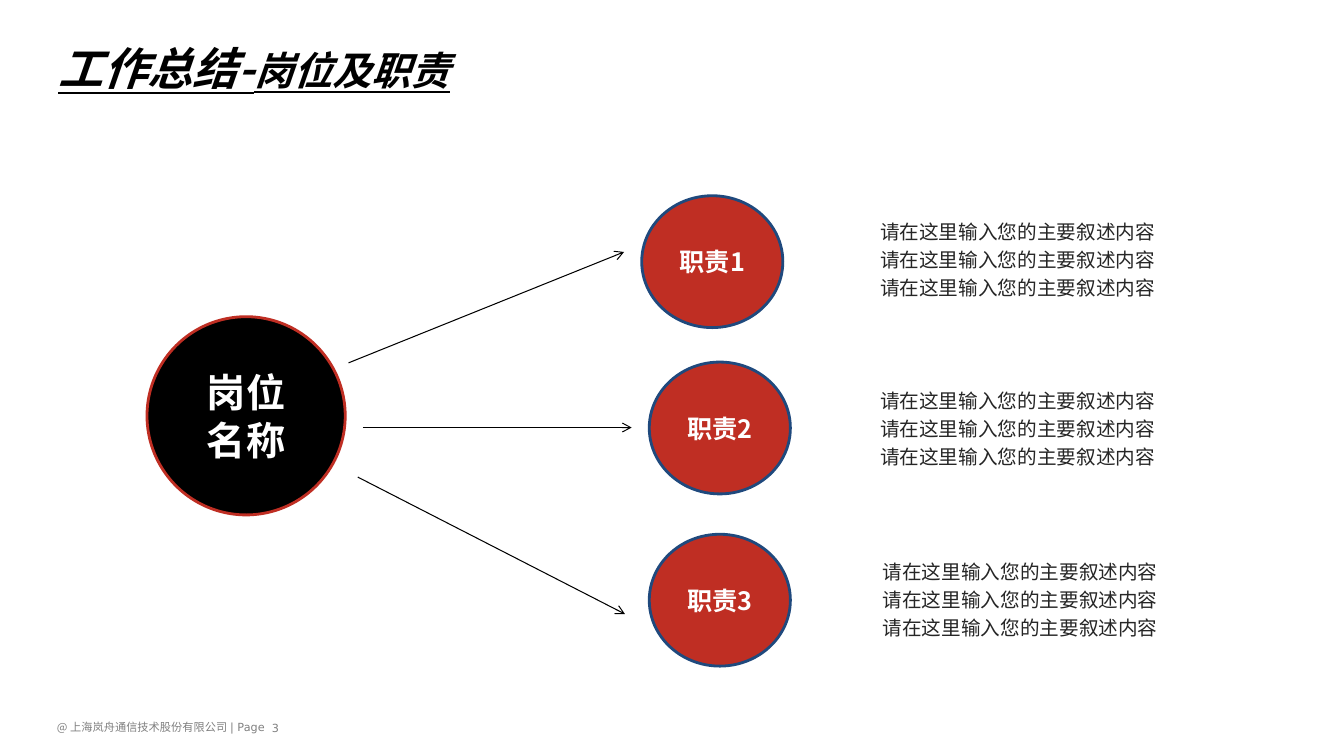
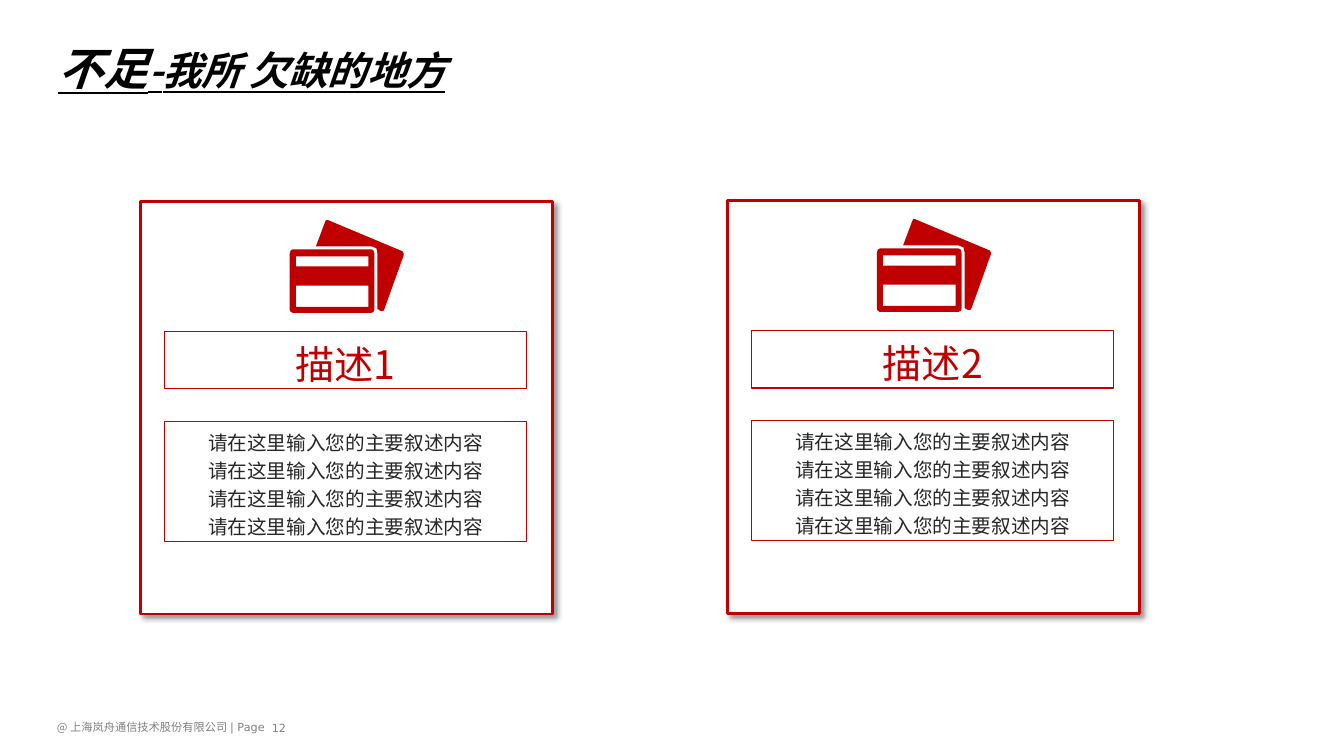
from lxml import etree
from pptx import Presentation
from pptx import util as u
from pptx.dml.color import RGBColor
from pptx.enum import shapes, text
from pptx.oxml import parse_xml
from pptx.oxml.ns import nsdecls, qn


class Theme:
    cjk, latin = "Noto Sans CJK SC", "DejaVu Sans"
    black, white, grey, ink = "000000", "FFFFFF", "808080", "262626"
    red, navy, crimson = "BF2E23", "1F497D", "C00000"
    title, subtitle, duty, body, footer = 32, 28, 18, 14, 8
    body_leading, head_leading, role_leading = 20, 36, 34
    border, thin = 2, 0.75


TOP, MIDDLE = text.MSO_ANCHOR.TOP, text.MSO_ANCHOR.MIDDLE
LEFT, CENTER = text.PP_ALIGN.LEFT, text.PP_ALIGN.CENTER
BODY_LINE = "请在这里输入您的主要叙述内容"

prs = Presentation()
prs.slide_width, prs.slide_height = u.Inches(13.333), u.Inches(7.5)
CELL = prs.slide_width / 160  # the slide is a grid of 160 columns by 90 rows


def grid(*cells):
    return [round(c * CELL) for c in cells]


def write(sp, lines, size, color, font=Theme.cjk, bold=None, align=LEFT,
          anchor=TOP, leading=None):
    """Fill a shape; each line is a string or a list of (text, size, font) runs."""
    tf = sp.text_frame
    tf.word_wrap, tf.auto_size = True, text.MSO_AUTO_SIZE.NONE
    tf.vertical_anchor = anchor
    for i, line in enumerate(lines):
        p = tf.paragraphs[0] if i == 0 else tf.add_paragraph()
        p.alignment = align
        if leading:
            p.line_spacing = u.Pt(leading)
        p.font.size, p.font.bold, p.font.name = u.Pt(size), bold, font
        p.font.color.rgb = RGBColor.from_string(color)
        etree.SubElement(p.font._element, qn("a:ea"), typeface=Theme.cjk)
        for words, run_size, run_font in [(line, None, None)] if isinstance(line, str) else line:
            r = p.add_run()
            r.text = words
            if run_size:
                r.font.size = u.Pt(run_size)
            if run_font:
                r.font.name = run_font
    return tf


# Shared layout: title place and footer
layout = prs.slide_layouts.get_by_name("Title Only")
title = layout.placeholders[0]
title.left, title.top, title.width, title.height = grid(5.5, 6.25, 145.2, 3.7)

pages = [("3", "工作总结-", "岗位及职责"), ("12", "不足", "-我所 欠缺的地方")]
slides = [prs.slides.add_slide(layout) for page in pages]

footer = slides[0].shapes.add_textbox(*grid(5.6, 85.2, 66.2, 7.3))
write(footer, [[("@ 上海岚舟通信技术股份有限公司 ", None, None), ("| Page", None, Theme.latin)]],
      Theme.footer, Theme.grey)
layout.shapes.element.append(footer.element)

# Titles and page numbers
for s, (number, heading, topic) in zip(slides, pages):
    tf = write(s.shapes.title, [[(heading, Theme.title, None), (topic, Theme.subtitle, None)]],
               Theme.title, Theme.black, bold=True, anchor=MIDDLE)
    tf.margin_left = tf.margin_right = u.Inches(0.12)
    tf.margin_top = tf.margin_bottom = u.Inches(0.06)
    font = tf.paragraphs[0].font
    font.italic = font.underline = True
    sp = s.shapes.add_textbox(*grid(30.8, 85, 9.7, 4.8))
    tf = write(sp, [number], Theme.footer, Theme.grey, font=Theme.latin)
    tf.margin_left = tf.margin_right = u.Inches(0.13)
    tf.margin_top = tf.margin_bottom = u.Inches(0.07)

# Slide 1: the role and its duties
s = slides[0]
circles = [
    ((17.5, 37.7, 23.6, 23.6), ["岗位", "名称"], Theme.subtitle, Theme.black, Theme.red, Theme.role_leading),
    ((76.4, 23.3, 16.8, 15.7), ["职责1"], Theme.duty, Theme.red, Theme.navy, None),
    ((77.3, 43.1, 16.8, 15.7), ["职责2"], Theme.duty, Theme.red, Theme.navy, None),
    ((77.3, 63.6, 16.8, 15.7), ["职责3"], Theme.duty, Theme.red, Theme.navy, None),
]
for place, lines, size, fill, border, leading in circles:
    sp = s.shapes.add_shape(shapes.MSO_SHAPE.FLOWCHART_CONNECTOR, *grid(*place))
    sp.shadow.inherit = False
    sp.fill.solid()
    sp.fill.fore_color.rgb = RGBColor.from_string(fill)
    sp.line.color.rgb = RGBColor.from_string(border)
    sp.line.width = u.Pt(Theme.border)
    write(sp, lines, size, Theme.white, bold=True, align=CENTER, anchor=MIDDLE, leading=leading)

# Arrows from the role to each duty
for ends in [(41.5, 43.2, 74.3, 30), (43.2, 50.9, 75.2, 50.9), (42.6, 56.8, 74.4, 73.1)]:
    arrow = s.shapes.add_connector(shapes.MSO_CONNECTOR.STRAIGHT, *grid(*ends))
    arrow.line.color.rgb = RGBColor.from_string(Theme.black)
    arrow.line.width = u.Pt(Theme.thin)
    sp_pr = arrow.element.spPr
    etree.SubElement(sp_pr.find(qn("a:ln")), qn("a:tailEnd"), type="arrow")
    etree.SubElement(sp_pr, qn("a:effectLst"))

# Duty descriptions
for x, y in [(103.6, 25.1), (103.6, 45.2), (103.9, 65.5)]:
    sp = s.shapes.add_textbox(*grid(x, y, 42.5, 10.9))
    write(sp, [BODY_LINE] * 3, Theme.body, Theme.ink, leading=Theme.body_leading)

# Slide 2: two cards with an icon, a heading and a description
s = slides[1]
ICON = [  # outlines in hundredths of an inch: front card, its two windows, back card
    [(3, 29), (81, 29), (83, 30), (84, 33), (84, 89), (83, 91), (81, 92),
     (3, 92), (1, 91), (0, 89), (0, 33), (1, 30)],
    [(6, 65), (6, 86), (78, 86), (78, 65)],
    [(6, 36), (6, 46), (78, 46), (78, 36)],
    [(38, 0), (112, 31), (113, 33), (113, 35), (94, 88), (93, 90), (90, 90), (87, 88),
     (87, 33), (86, 28), (81, 26), (26, 26), (35, 2), (36, 0)],
]
SHADOW = (f'<a:effectLst {nsdecls("a")}><a:outerShdw blurRad="50800" dist="38100" dir="2700000" '
          f'algn="tl" rotWithShape="0"><a:srgbClr val="{Theme.black}"><a:alpha val="40000"/>'
          '</a:srgbClr></a:outerShdw></a:effectLst>')

for x, y, heading in [(16.7, 24, "描述1"), (86.6, 23.9, "描述2")]:
    card = s.shapes.add_group_shape().shapes
    frame, head, body = [
        card.add_shape(shapes.MSO_SHAPE.RECTANGLE, *grid(x + dx, y + dy, w, h))
        for dx, dy, w, h in [(0, 0, 49.1, 49.1), (2.9, 15.5, 43.1, 6.8), (2.9, 26.2, 43.1, 14.3)]]
    for sp, width in [(frame, Theme.border), (head, Theme.thin), (body, Theme.thin)]:
        sp.fill.background()
        sp.line.color.rgb = RGBColor.from_string(Theme.crimson)
        sp.line.width = u.Pt(width)
    head.shadow.inherit = body.shadow.inherit = False
    frame.fill.solid()
    frame.fill.fore_color.rgb = RGBColor.from_string(Theme.white)
    frame.element.spPr.append(parse_xml(SHADOW))
    write(head, [heading], Theme.subtitle, Theme.crimson, align=CENTER, leading=Theme.head_leading)
    write(body, [BODY_LINE] * 4, Theme.body, Theme.ink, align=CENTER, leading=Theme.body_leading)

    outline = card.build_freeform(*ICON[0][0], scale=u.Inches(0.01))
    for i, points in enumerate(ICON):
        if i:
            outline.move_to(*points[0])
        outline.add_line_segments(points[1:], close=True)
    icon = outline.convert_to_shape(*grid(x + 17.8, y + 2.2))
    icon.shadow.inherit = False
    icon.fill.solid()
    icon.fill.fore_color.rgb = RGBColor.from_string(Theme.crimson)
    icon.line.fill.background()

prs.save("out.pptx")
